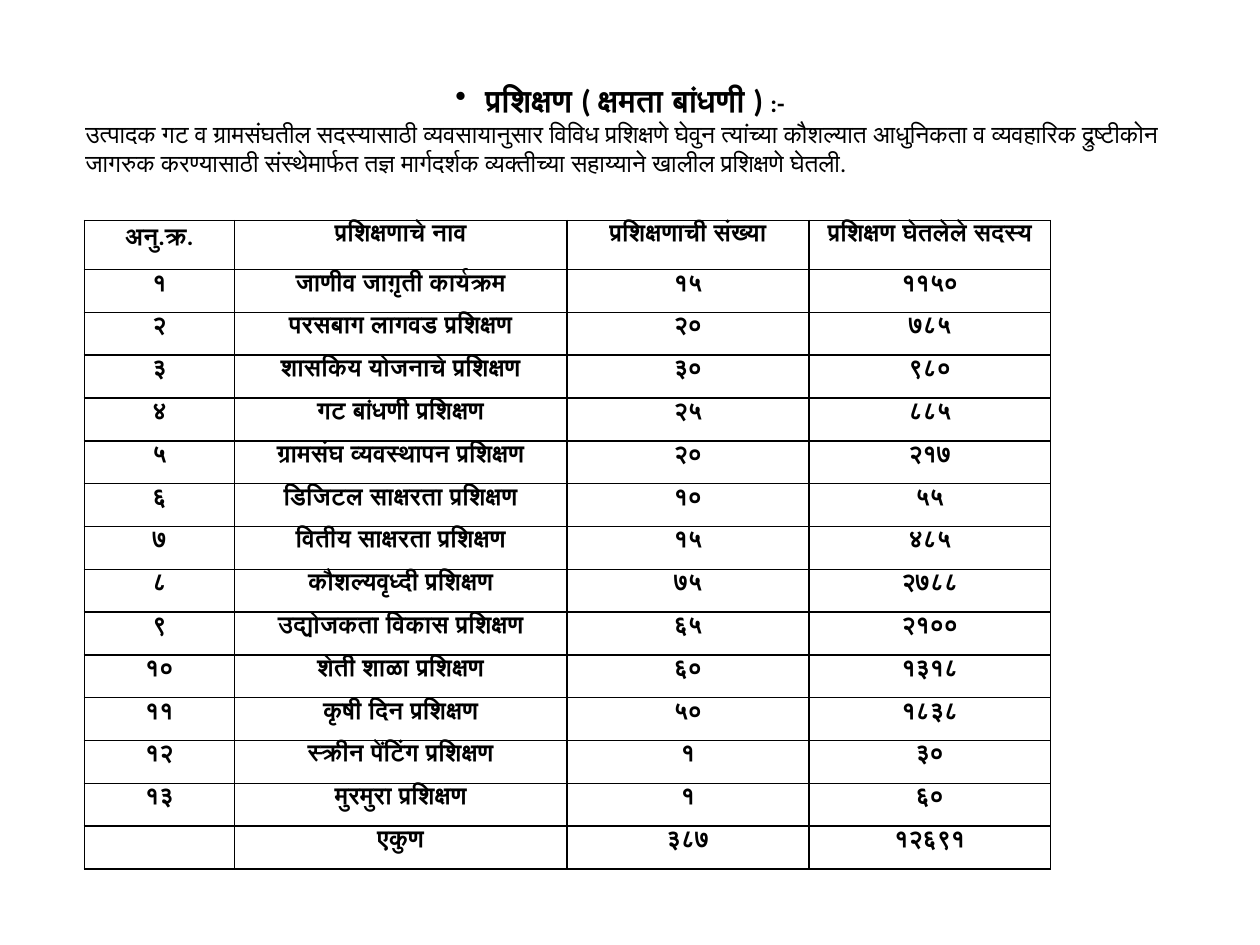
from lxml.etree import SubElement
from pptx import Presentation
from pptx.dml.color import RGBColor
from pptx.enum.text import MSO_ANCHOR, MSO_AUTO_SIZE, PP_ALIGN
from pptx.oxml.ns import qn
from pptx.util import Inches, Pt

HEADER = ["अनु.क्र.", "प्रशिक्षणाचे नाव", "प्रशिक्षणाची संख्या", "प्रशिक्षण घेतलेले सदस्य"]
TRAININGS = [
    ("१", "जाणीव जाग़ृती कार्यक्रम", "१५", "११५०"),
    ("२", "परसबाग लागवड प्रशिक्षण", "२०", "७८५"),
    ("३", "शासकिय योजनाचे प्रशिक्षण", "३०", "९८०"),
    ("४", "गट बांधणी प्रशिक्षण", "२५", "८८५"),
    ("५", "ग्रामसंघ व्यवस्थापन प्रशिक्षण", "२०", "२१७"),
    ("६", "डिजिटल साक्षरता प्रशिक्षण", "१०", "५५"),
    ("७", "वितीय साक्षरता प्रशिक्षण", "१५", "४८५"),
    ("८", "कौशल्यवृध्दी प्रशिक्षण", "७५", "२७८८"),
    ("९", "उद्योजकता विकास प्रशिक्षण", "६५", "२१००"),
    ("१०", "शेती शाळा प्रशिक्षण", "६०", "१३१८"),
    ("११", "कृषी दिन प्रशिक्षण", "५०", "१८३८"),
    ("१२", "स्क्रीन पेंटिंग प्रशिक्षण", "१", "३०"),
    ("१३", "मुरमुरा प्रशिक्षण", "१", "६०"),
]
TOTAL = ("", "एकुण", "३८७", "१२६९१")
INTRO = (
    "उत्पादक गट व ग्रामसंघतील सदस्यासाठी व्यवसायानुसार विविध प्रशिक्षणे घेवुन त्यांच्या "
    "कौशल्यात आधुनिकता व व्यवहारिक द्रुष्टीकोन जागरुक करण्यासाठी संस्थेमार्फत तज्ञ "
    "मार्गदर्शक व्यक्तीच्या सहाय्याने खालील प्रशिक्षणे घेतली."
)


def rgb(value):
    return RGBColor.from_string(value)


class SlideBuilder:
    font = "Calibri"
    ink = "000000"
    size = 14

    def __init__(self, slide):
        self.slide = slide

    def run(self, p, text, size=None, bold=True):
        r = p.add_run()
        r.text = text
        r.font.name = self.font
        r.font.size = Pt(size or self.size)
        r.font.bold = bold
        r.font.color.rgb = rgb(self.ink)

    def border(self, cell):
        tc_pr = cell._tc.get_or_add_tcPr()
        for i, side in enumerate(("a:lnL", "a:lnR", "a:lnT", "a:lnB")):
            ln = tc_pr.makeelement(qn(side), {"w": str(Pt(1))})
            fill = SubElement(ln, qn("a:solidFill"))
            SubElement(fill, qn("a:srgbClr"), val=self.ink)
            tc_pr.insert(i, ln)

    def cell(self, cell, text):
        cell.margin_left = cell.margin_right = Inches(0.07)
        cell.margin_top = cell.margin_bottom = 0
        cell.fill.background()
        self.border(cell)
        if text:
            p = cell.text_frame.paragraphs[0]
            p.alignment = PP_ALIGN.CENTER
            p.line_spacing = 1.07
            self.run(p, text)

    def table(self, left, top, widths, heights, rows):
        table = self.slide.shapes.add_table(
            len(rows), len(widths), Inches(left), Inches(top),
            Inches(sum(widths)), Inches(sum(heights))
        ).table
        table.first_row = table.horz_banding = False
        for column, width in zip(table.columns, widths):
            column.width = Inches(width)
        for row, height, texts in zip(table.rows, heights, rows):
            row.height = Inches(height)
            for cell, text in zip(row.cells, texts):
                self.cell(cell, text)

    def heading(self, left, top, width, height, title, mark, intro):
        box = self.slide.shapes.add_textbox(
            Inches(left), Inches(top), Inches(width), Inches(height)
        )
        tf = box.text_frame
        tf.word_wrap = True
        tf.auto_size = MSO_AUTO_SIZE.SHAPE_TO_FIT_TEXT
        tf.vertical_anchor = MSO_ANCHOR.MIDDLE
        p = tf.paragraphs[0]
        p.alignment = PP_ALIGN.CENTER
        SubElement(p._p.get_or_add_pPr(), qn("a:buChar"), char="•")
        self.run(p, title, 18)
        self.run(p, mark)
        self.run(tf.add_paragraph(), intro, bold=False)


def main():
    prs = Presentation()
    prs.slide_width = Inches(10)
    prs.slide_height = Inches(7.5)
    s = SlideBuilder(prs.slides.add_slide(prs.slide_layouts[6]))
    rows = [HEADER, *TRAININGS, TOTAL]
    heights = [0.39] + [0.34] * (len(rows) - 1)
    s.table(0.67, 1.75, [1.19, 2.64, 1.92, 1.92], heights, rows)
    s.heading(0.58, 0.47, 8.83, 1.11, "प्रशिक्षण ( क्षमता बांधणी ) ", ":-", INTRO)
    prs.save("out.pptx")


if __name__ == "__main__":
    main()
